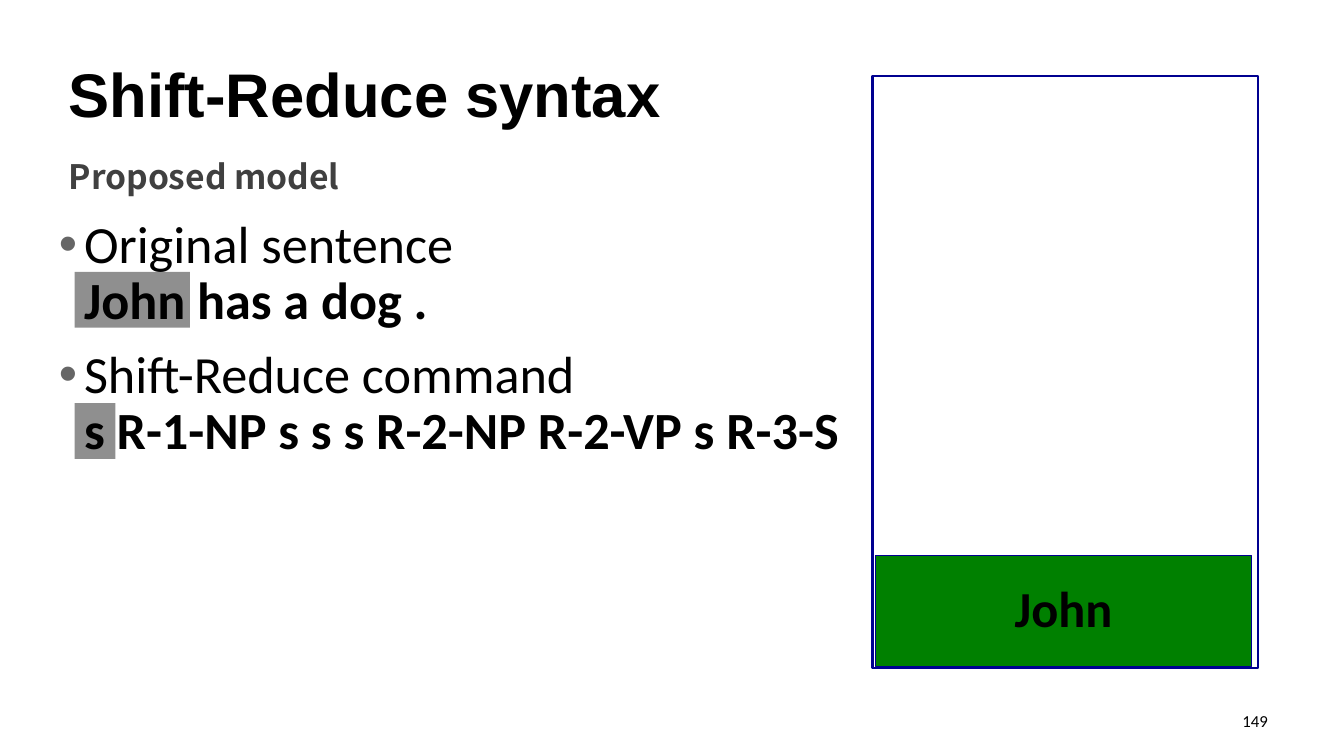
from lxml.etree import SubElement
from pptx import Presentation
from pptx.dml.color import RGBColor
from pptx.enum.shapes import MSO_SHAPE as Shape
from pptx.enum.text import MSO_ANCHOR as Anchor, PP_ALIGN as Align
from pptx.oxml.ns import qn
from pptx.util import Emu, Pt

PX = 9525  # EMU per px; the slide is 1280 x 720 px
COLORS = {
    "ink": "000000",
    "subtitle": "404040",
    "bullet": "666666",
    "stack": "000090",
    "token": "008000",
}
LIST_INDENT = 24


def px(*lengths):
    return [Emu(length * PX) for length in lengths]


def color(name):
    return RGBColor.from_string(COLORS[name])


def add_run(paragraph, wording, size, font="Calibri", ink="ink", bold=False):
    run = paragraph.add_run()
    run.text = wording
    run.font.name = font
    run.font.size = Pt(size)
    run.font.bold = bold
    run.font.color.rgb = color(ink)
    if font.startswith("Noto"):
        SubElement(run.font._element, qn("a:ea")).set("typeface", font)


def clear_margins(frame):
    frame.margin_left = frame.margin_right = 0
    frame.margin_top = frame.margin_bottom = 0


def add_text_frame(slide, box, anchor=Anchor.TOP):
    frame = slide.shapes.add_textbox(*px(*box)).text_frame
    frame.word_wrap = True
    frame.vertical_anchor = anchor
    return frame


def add_rect(slide, box, fill=None, line=None, width=0, opacity=100):
    rect = slide.shapes.add_shape(Shape.RECTANGLE, *px(*box))
    rect.shadow.inherit = False
    if fill:
        rect.fill.solid()
        rect.fill.fore_color.rgb = color(fill)
        if opacity < 100:
            srgb = rect.fill._xPr.find(".//" + qn("a:srgbClr"))
            SubElement(srgb, qn("a:alpha")).set("val", str(opacity * 1000))
    else:
        rect.fill.background()
    if line:
        rect.line.color.rgb = color(line)
        rect.line.width = Pt(width)
    else:
        rect.line.fill.background()
    return rect


def add_bullet(paragraph):
    props = paragraph._p.get_or_add_pPr()
    props.set("marL", str(LIST_INDENT * PX))
    props.set("indent", str(-LIST_INDENT * PX))
    tint = SubElement(props, qn("a:buClr"))
    SubElement(tint, qn("a:srgbClr")).set("val", COLORS["bullet"])
    SubElement(props, qn("a:buFont")).set("typeface", "Arial")
    SubElement(props, qn("a:buChar")).set("char", "•")


def add_steps(slide, box, steps):
    frame = add_text_frame(slide, box)
    clear_margins(frame)
    for index, (label, content) in enumerate(steps):
        step = frame.add_paragraph() if index else frame.paragraphs[0]
        add_bullet(step)
        step.line_spacing = 0.9
        step.space_before = Pt(12 if index else 0)
        add_run(step, label, 37.3)
        step.add_line_break()
        add_run(step, content, 37.3, bold=True)


def add_token(slide, box, word):
    frame = add_rect(slide, box, "token", "stack", 0.75).text_frame
    clear_margins(frame)
    frame.vertical_anchor = Anchor.MIDDLE
    label = frame.paragraphs[0]
    label.alignment = Align.CENTER
    label.line_spacing = 0.9
    add_run(label, word, 36, bold=True)


def main():
    deck = Presentation()
    deck.slide_width, deck.slide_height = px(1280, 720)
    slide = deck.slides.add_slide(deck.slide_layouts[6])

    # Slide number
    number = add_text_frame(slide, (918, 667, 299, 38), Anchor.MIDDLE).paragraphs[0]
    number.alignment = Align.RIGHT
    add_run(number, "149", 12)

    # Stack with its one token
    add_token(slide, (834, 529, 358, 106), "John")
    add_rect(slide, (831, 72, 367, 564), line="stack", width=1.5)

    # Headings
    title = add_text_frame(slide, (56, 42, 1168, 93), Anchor.MIDDLE)
    add_run(title.paragraphs[0], "Shift-Reduce syntax", 44, "Arial", bold=True)
    subtitle = add_text_frame(slide, (56, 144, 1168, 36))
    add_run(subtitle.paragraphs[0], "Proposed model", 24,
            "Noto Sans CJK KR", "subtitle", True)

    # Sentence and commands
    add_steps(slide, (56, 208, 845, 401), [
        ("Original sentence", "John has a dog ."),
        ("Shift-Reduce command", "s R-1-NP s s s R-2-NP R-2-VP s R-3-S"),
    ])

    # Highlights over the current command and word
    for top, width in ((384, 39), (259, 110)):
        add_rect(slide, (71, top, width, 53), "ink", opacity=44)

    deck.save("out.pptx")


if __name__ == "__main__":
    main()
